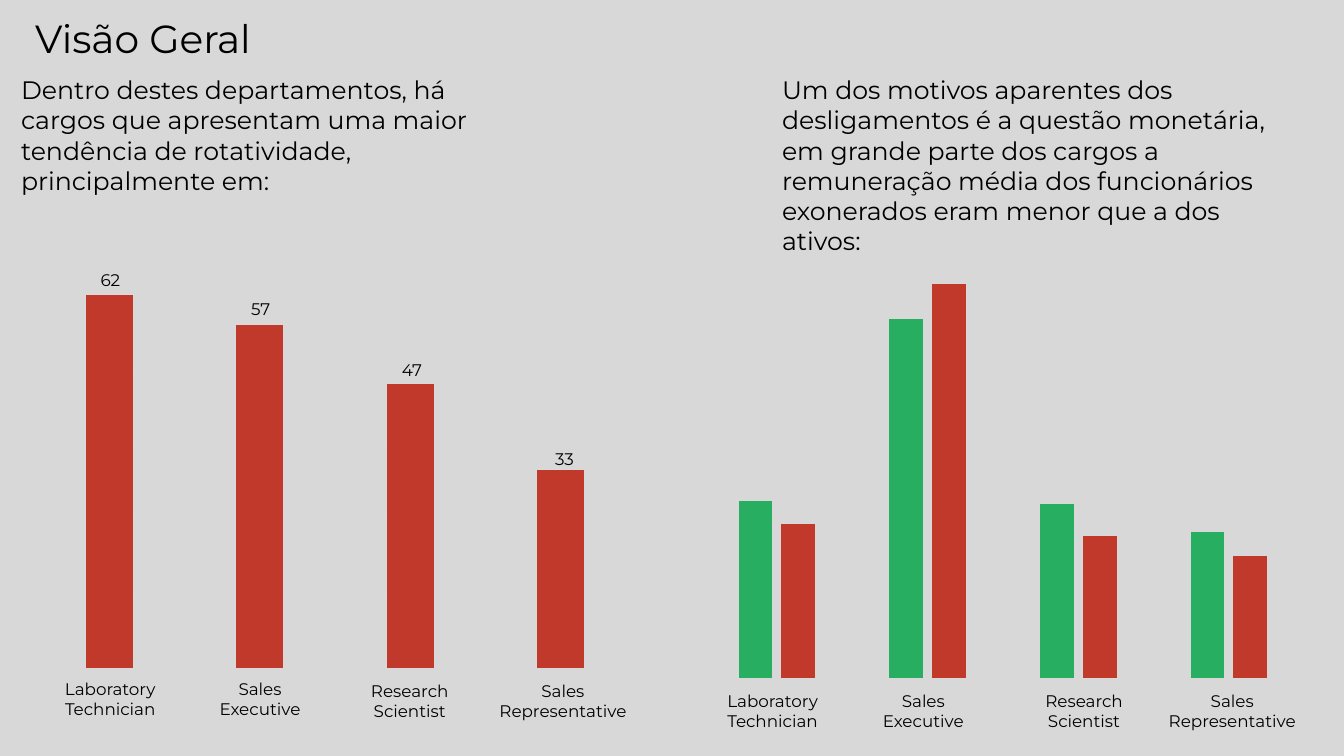
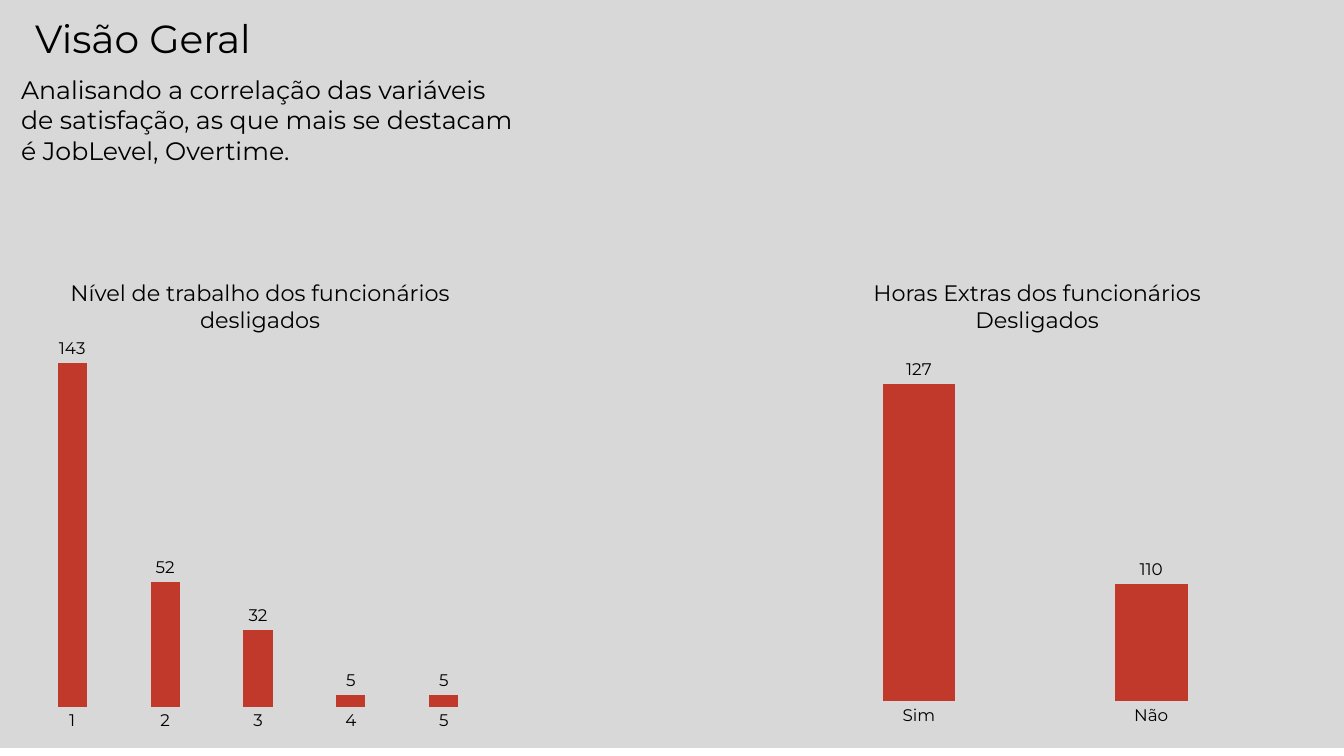
from pptx import Presentation
from pptx.chart.data import CategoryChartData
from pptx.dml.color import RGBColor
from pptx.enum.chart import XL_CHART_TYPE, XL_LABEL_POSITION, XL_TICK_MARK
from pptx.enum.shapes import MSO_SHAPE
from pptx.enum.text import MSO_AUTO_SIZE, PP_ALIGN
from pptx.oxml import parse_xml
from pptx.oxml.ns import nsdecls, qn
from pptx.util import Inches, Pt

COLUMN = XL_CHART_TYPE.COLUMN_CLUSTERED
OUTSIDE = XL_LABEL_POSITION.OUTSIDE_END
NO_TICK = XL_TICK_MARK.NONE
RECT = MSO_SHAPE.RECTANGLE
FIT = MSO_AUTO_SIZE.SHAPE_TO_FIT_TEXT
LEFT, CENTER = PP_ALIGN.LEFT, PP_ALIGN.CENTER

BLACK = RGBColor(0x00, 0x00, 0x00)
VEIL = RGBColor(0x4A, 0x4A, 0x4A)
GRID = RGBColor(0xD9, 0xD9, 0xD9)
RED = RGBColor(0xC0, 0x39, 0x2B)
GREEN = RGBColor(0x27, 0xAE, 0x60)
FONT = "Montserrat"

deck = Presentation()
deck.slide_width, deck.slide_height = Inches(13.33), Inches(7.5)
# All lengths below are percent of the slide's width (X) or height (Y)
X, Y = deck.slide_width / 100, deck.slide_height / 100


def add_text(slide, text, x, y, w, h, size, align=LEFT):
    box = slide.shapes.add_textbox(int(x * X), int(y * Y), int(w * X), int(h * Y))
    frame = box.text_frame
    frame.word_wrap = True
    frame.auto_size = FIT
    frame.text = text
    para = frame.paragraphs[0]
    para.alignment = align
    font = para.runs[0].font
    font.name, font.size, font.color.rgb = FONT, Pt(size), BLACK


def add_bars(slide, area, plot, cats, series, low, high, grid=True, labels=False):
    data = CategoryChartData()
    data.categories = cats
    for num, (vals, _) in enumerate(series, 1):
        data.add_series(f"Series {num}", vals)
    x, y, w, h = area
    chart = slide.shapes.add_chart(
        COLUMN, int(x * X), int(y * Y), int(w * X), int(h * Y), data).chart
    chart.has_title = chart.has_legend = False
    chart.font.name, chart.font.size, chart.font.color.rgb = "Roboto", Pt(10), BLACK

    # Bars
    bars = chart.plots[0]
    bars.gap_width, bars.overlap, bars.vary_by_categories = 219, -27, False
    for item, (_, color) in zip(bars.series, series):
        item.format.fill.solid()
        item.format.fill.fore_color.rgb = color

    # Axes
    vals, names = chart.value_axis, chart.category_axis
    vals.minimum_scale, vals.maximum_scale = low, high
    vals.visible = False
    vals.has_major_gridlines = grid
    if grid:
        line = vals.major_gridlines.format.line
        line.color.rgb, line.width = GRID, Pt(0.75)
    names.visible = labels
    if labels:
        names.major_tick_mark = names.minor_tick_mark = NO_TICK
        names.format.line.color.rgb = GRID
        names.format.line.width = Pt(0.75)
        bars.has_data_labels = True
        tags = bars.data_labels
        tags.show_value, tags.position = True, OUTSIDE
        for font in (names.tick_labels.font, tags.font):
            font.name, font.size, font.color.rgb = FONT, Pt(12), BLACK

    # Inner plot area, as shares of the chart
    root = chart.element.find(".//" + qn("c:plotArea"))
    for old in root.findall(qn("c:layout")):
        root.remove(old)
    sizes = "".join(f'<c:{key} val="{val}"/>' for key, val in zip("xywh", plot))
    root.insert(0, parse_xml(
        f'<c:layout {nsdecls("c")}><c:manualLayout><c:layoutTarget val="inner"/>'
        '<c:xMode val="edge"/><c:yMode val="edge"/>'
        f'{sizes}</c:manualLayout></c:layout>'))


# Shared parts: grey veil, title and intro
INTROS = [
    ("Dentro destes departamentos, há cargos que apresentam uma maior tendência "
     "de rotatividade, principalmente em:", 17.5, 0),
    ("Analisando a correlação das variáveis de satisfação, as que mais se destacam "
     "é JobLevel, Overtime.", 13.5, -1.07),
]
slides = []
for intro, tall, top in INTROS:
    slide = deck.slides.add_slide(deck.slide_layouts[6])
    veil = slide.shapes.add_shape(RECT, 0, int(top * Y), int(100 * X), int(100 * Y))
    veil.shadow.inherit = False
    veil.line.fill.background()
    veil.fill.solid()
    veil.fill.fore_color.rgb = VEIL
    tint = veil.element.find(".//" + qn("a:srgbClr"))
    tint.append(parse_xml(f'<a:alpha {nsdecls("a")} val="21000"/>'))
    add_text(slide, "Visão Geral", 1.88, 1.2, 22.1, 7.6, 28)
    add_text(slide, intro, 0.83, 9.2, 38.1, tall, 18)
    slides.append(slide)
jobs, traits = slides

# Slide 1: leavers and pay by job
add_text(jobs, "Um dos motivos aparentes dos desligamentos é a questão monetária, "
         "em grande parte dos cargos a remuneração média dos funcionários exonerados "
         "eram menor que a dos ativos:", 57.45, 9.2, 38.1, 25.6, 18)
PLOT = (0, 0.01, 0.99, 0.97)
RANKS = ["1", "2", "3", "4"]
add_bars(jobs, (2.48, 32, 45.3, 57.5), PLOT, RANKS,
         [((100, 92, 76, 53), RED)], 0, 113)
add_bars(jobs, (52.2, 33.33, 45.3, 57.5), PLOT, RANKS,
         [((45, 91, 44, 37), GREEN), ((39, 100, 36, 31), RED)], 0, 107, grid=False)

# Job names: text, width, middle and top on the left, middle on the right
NAMES = [
    ("Laboratory Technician", 9.08, 8.21, 89.07, 57.49),
    ("Sales Executive", 8.25, 19.35, 89.07, 68.7),
    ("Research Scientist", 9.08, 30.49, 89.33, 80.66),
    ("Sales Representative", 11.78, 41.89, 89.33, 91.69),
]
for name, wide, mid, top, right in NAMES:
    for spot, y in ((mid, top), (right, 90.67)):
        add_text(jobs, name, spot - wide / 2, y, wide, 6.67, 12, CENTER)

# Counts above the left bars: text, middle, top
COUNTS = [("62", 8.21, 35.07), ("57", 19.39, 38.8),
          ("47", 30.64, 46.93), ("33", 42, 58.67)]
for count, mid, top in COUNTS:
    add_text(jobs, count, mid - 2.36, top, 4.73, 4, 12, CENTER)

# Slide 2: job level and overtime
PANELS = [
    ("Nível de trabalho dos funcionários desligados", 1.88, 40.93, 56.53,
     (0, 0.03, 0.99, 0.9), ["1", "2", "3", "4", "5"], (143, 52, 32, 5, 5), 0, 160),
    ("Horas Extras dos funcionários Desligados", 59.7, 45.6, 51.87,
     (0, 0.01, 0.99, 0.9), ["Sim", "Não"], (127, 110), 100, 130),
]
for head, x, y, tall, plot, cats, vals, low, high in PANELS:
    add_bars(traits, (x, y, 34.95, tall), plot, cats, [(vals, RED)], low, high,
             labels=True)
    add_text(traits, head, x, 36.27, 34.95, 8.53, 16, CENTER)

deck.save("out.pptx")
